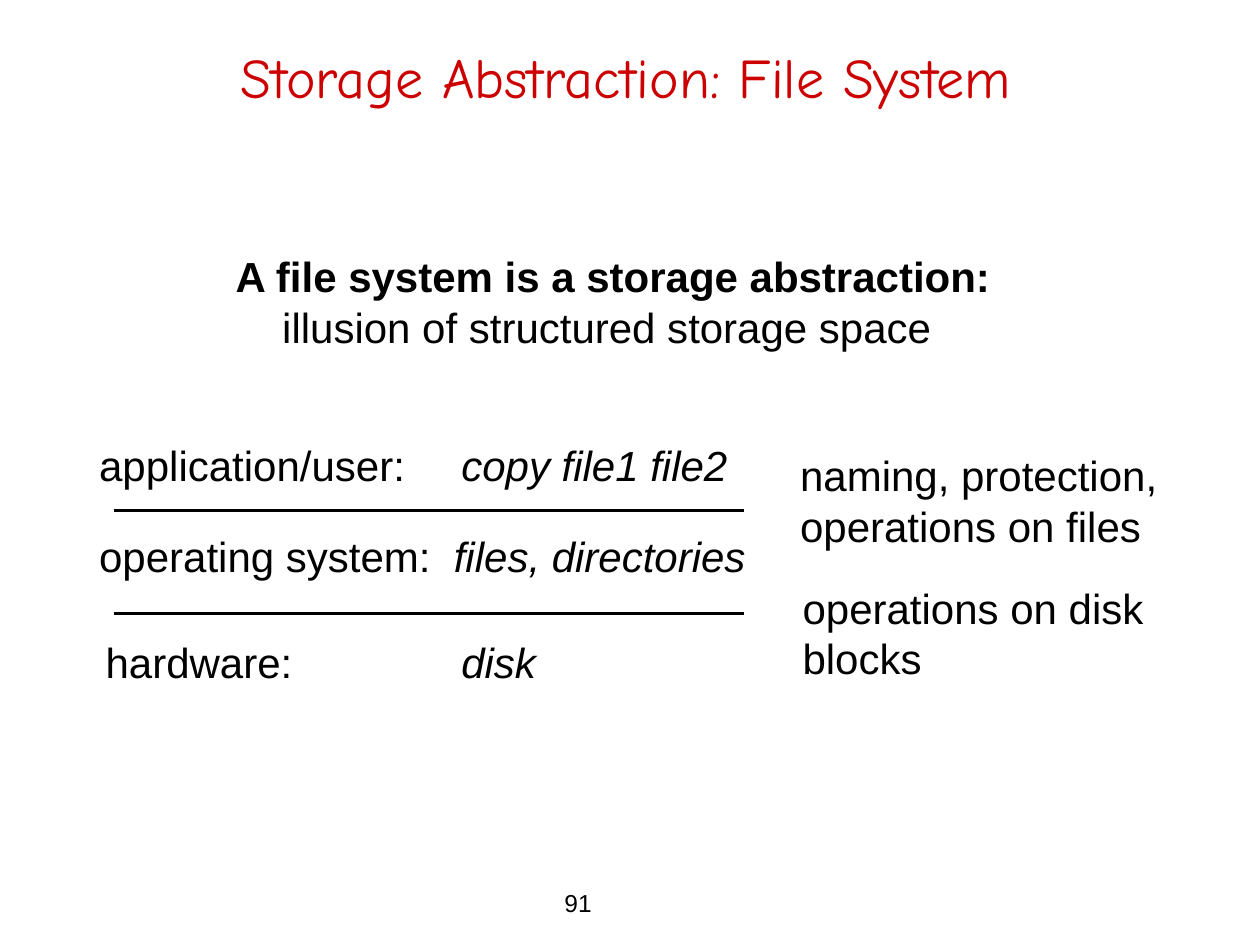
from dataclasses import dataclass

from lxml.etree import SubElement
from pptx import Presentation
from pptx.dml.color import RGBColor
from pptx.enum.shapes import MSO_CONNECTOR as Connector
from pptx.enum.text import MSO_ANCHOR as Anchor, PP_ALIGN as Align
from pptx.oxml.ns import qn
from pptx.util import Cm, Pt


@dataclass(frozen=True)
class Theme:
    ink: RGBColor = RGBColor(0x00, 0x00, 0x00)
    title_color: RGBColor = RGBColor(0xCC, 0x00, 0x00)
    body_font: str = "Arial"
    title_font: str = "Comic Neue"
    title_size: int = 32
    body_size: int = 24
    number_size: int = 14
    rule_width: int = 2


THEME = Theme()
INSET = 0.25  # cm, left and right inside each text box


def write(paragraph, text, font=THEME.body_font, size=THEME.body_size,
          color=THEME.ink, bold=False, italic=False):
    """Add one formatted run to a paragraph."""
    run = paragraph.add_run()
    run.text = text
    run.font.name = font
    run.font.size = Pt(size)
    run.font.color.rgb = color
    run.font.bold = bold
    run.font.italic = italic


def add_text_box(slide, left, top, width, height):
    frame = slide.shapes.add_textbox(Cm(left), Cm(top), Cm(width), Cm(height)).text_frame
    frame.word_wrap = True
    frame.margin_left = frame.margin_right = Cm(INSET)
    return frame


def add_lines(slide, lines, left, top, width):
    """Add a two-line statement."""
    frame = add_text_box(slide, left, top, width, 2.29)
    write(frame.paragraphs[0], lines[0])
    write(frame.add_paragraph(), lines[1])
    return frame


def add_layer(slide, name, example, left, top, column):
    """Add a layer name, with its example at a tab stop."""
    paragraph = add_text_box(slide, left, top, 13.7, 1.27).paragraphs[0]
    tabs = SubElement(paragraph._p.get_or_add_pPr(), qn("a:tabLst"))
    SubElement(tabs, qn("a:tab"), pos=str(Cm(column - left - INSET)), algn="l")
    write(paragraph, name + "\t")
    write(paragraph, example, italic=True)


def add_rule(slide, left, right, y):
    rule = slide.shapes.add_connector(Connector.STRAIGHT, Cm(left), Cm(y), Cm(right), Cm(y))
    rule.line.color.rgb = THEME.ink
    rule.line.width = Pt(THEME.rule_width)
    SubElement(rule._element.spPr, qn("a:effectLst"))


def set_title(slide, text):
    title = slide.shapes.title
    title.left, title.top, title.width, title.height = Cm(1.12), Cm(0.43), Cm(23.01), Cm(1.9)
    frame = title.text_frame
    frame.vertical_anchor = Anchor.BOTTOM
    frame.paragraphs[0].alignment = Align.CENTER
    write(frame.paragraphs[0], text, font=THEME.title_font,
          size=THEME.title_size, color=THEME.title_color)


def main():
    presentation = Presentation()
    presentation.slide_width, presentation.slide_height = Cm(25.4), Cm(19.05)
    slide = presentation.slides.add_slide(presentation.slide_layouts[5])
    set_title(slide, "Storage Abstraction: File System")

    # Definition
    definition = add_text_box(slide, 4.5, 4.93, 16.03, 2.29)
    write(definition.paragraphs[0], "A file system is a storage abstraction:", bold=True)
    illusion = definition.add_paragraph()
    illusion._p.get_or_add_pPr().set("marL", str(Cm(0.94)))
    write(illusion, "illusion of structured storage space")

    # Layers, separated by rules
    for name, example, left, top, column in (
        ("application/user:", "copy file1 file2", 1.75, 8.74, 9.3),
        ("operating system:", "files, directories", 1.75, 10.57, 9.15),
        ("hardware:", "disk", 1.88, 12.7, 9.3),
    ):
        add_layer(slide, name, example, left, top, column)
    for y in (10.29, 12.37):
        add_rule(slide, 2.29, 14.99, y)

    # What each interface offers
    add_lines(slide, ("naming, protection,", "operations on files"), 15.88, 8.94, 8.48)
    add_lines(slide, ("operations on disk", "blocks"), 15.93, 11.61, 8.48)

    # Slide number
    number = add_text_box(slide, 11.13, 17.78, 2.77, 0.86)
    write(number.paragraphs[0], "91", size=THEME.number_size)

    presentation.save("out.pptx")


if __name__ == "__main__":
    main()
